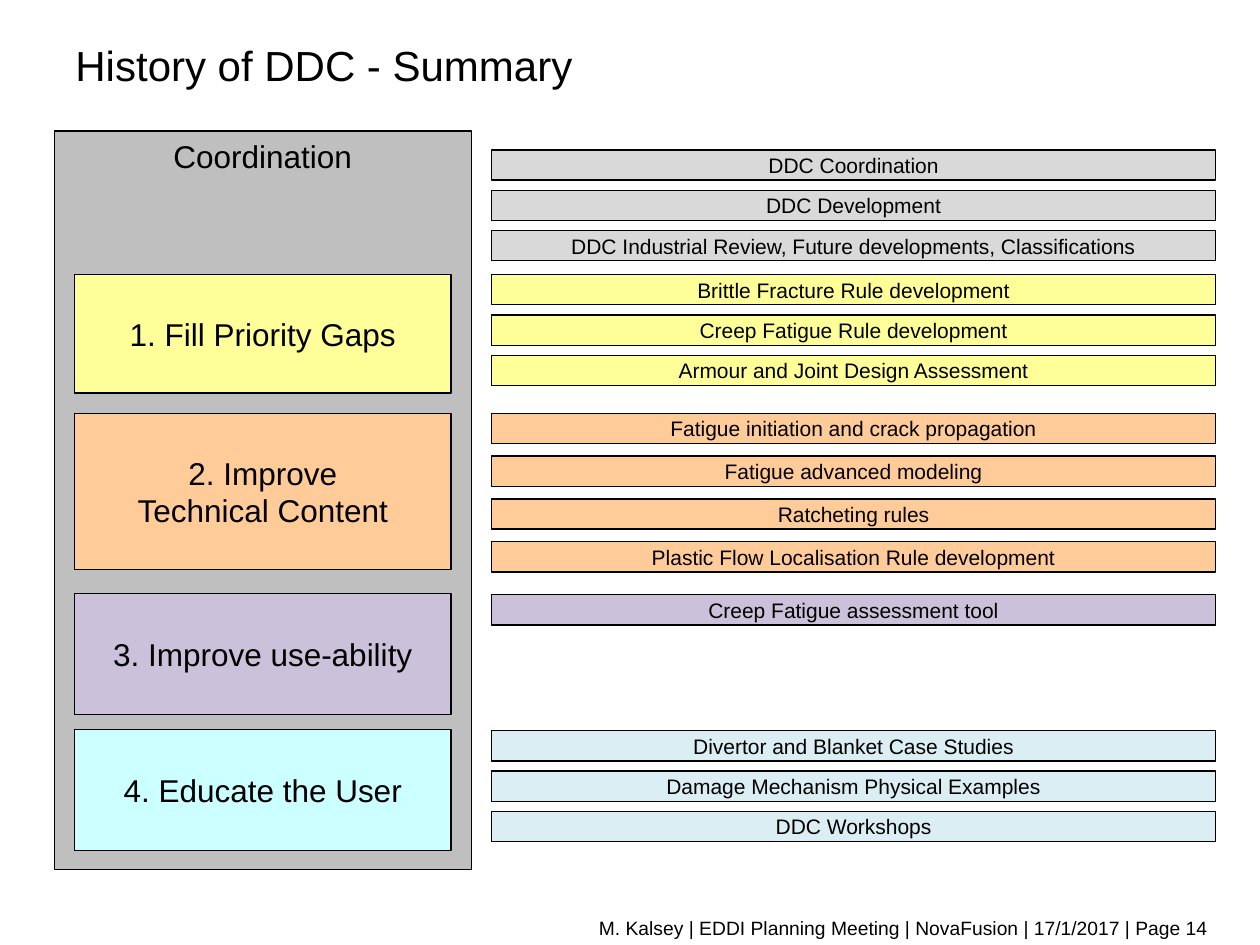
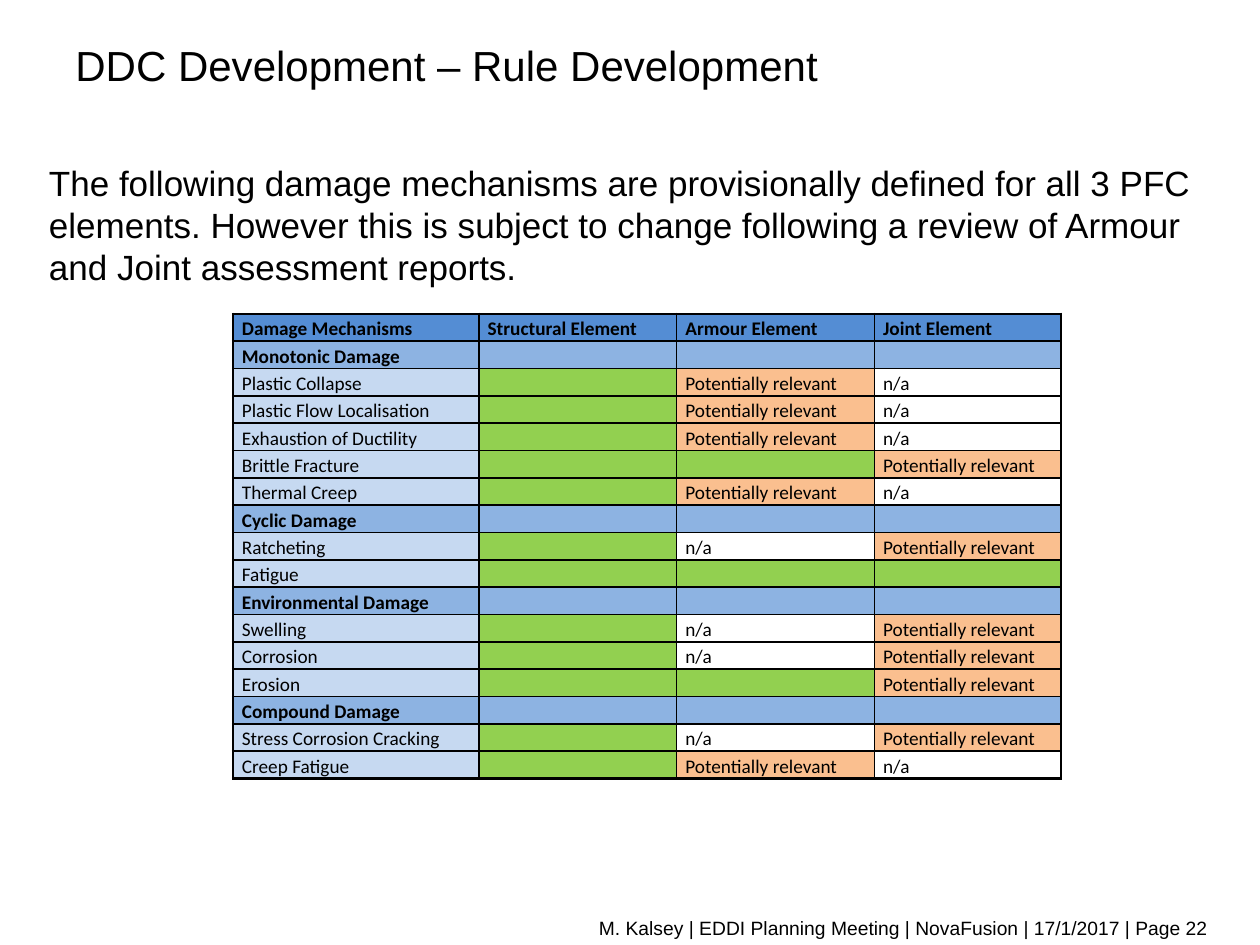
"""Build two slides on the history and rule development of the DDC."""
from lxml.etree import SubElement
from pptx import Presentation
from pptx.dml.color import RGBColor
from pptx.enum.shapes import MSO_SHAPE as Shape
from pptx.enum.text import MSO_ANCHOR as Anchor, PP_ALIGN as Align
from pptx.oxml.ns import qn
from pptx.util import Inches, Pt

COLS, ROWS = 100, 75
INK = "000000"
GRAY, YELLOW, ORANGE, PURPLE = "BFBFBF", "FFFF99", "FFCC99", "CCC1DA"
LABEL, GROUP, HEAD = "C6D9F1", "8DB3E2", "548DD4"
MARKS = {
    "H": ("", HEAD),
    "S": ("", GROUP),
    "G": ("", "92D050"),
    "P": ("Potentially relevant", "FABF8F"),
    "N": ("n/a", "FFFFFF"),
}

GOALS = [
    ("1. Fill Priority Gaps", YELLOW, 21.8, 9.4),
    ("2. Improve\nTechnical Content", ORANGE, 32.8, 12.4),
    ("3. Improve use-ability", PURPLE, 47.1, 9.6),
    ("4. Educate the User", "CCFFFF", 57.9, 9.6),
]
TASKS = [
    ("D9D9D9", 11.9, 3.2, [
        "DDC Coordination", "DDC Development",
        "DDC Industrial Review, Future developments, Classifications"]),
    (YELLOW, 21.8, 3.2, [
        "Brittle Fracture Rule development", "Creep Fatigue Rule development",
        "Armour and Joint Design Assessment"]),
    (ORANGE, 32.8, 3.4, [
        "Fatigue initiation and crack propagation", "Fatigue advanced modeling",
        "Ratcheting rules", "Plastic Flow Localisation Rule development"]),
    (PURPLE, 47.2, 3.2, ["Creep Fatigue assessment tool"]),
    ("DBEEF4", 58, 3.2, [
        "Divertor and Blanket Case Studies",
        "Damage Mechanism Physical Examples", "DDC Workshops"]),
]
HEADS = ["Damage Mechanisms", "Structural Element", "Armour Element", "Joint Element"]
DAMAGE = [
    ("Monotonic Damage", "SSS"),
    ("Plastic Collapse", "GPN"),
    ("Plastic Flow Localisation", "GPN"),
    ("Exhaustion of Ductility", "GPN"),
    ("Brittle Fracture", "GGP"),
    ("Thermal Creep", "GPN"),
    ("Cyclic Damage", "SSS"),
    ("Ratcheting", "GNP"),
    ("Fatigue", "GGG"),
    ("Environmental Damage", "SSS"),
    ("Swelling", "GNP"),
    ("Corrosion", "GNP"),
    ("Erosion", "GGP"),
    ("Compound Damage", "SSS"),
    ("Stress Corrosion Cracking", "GNP"),
    ("Creep Fatigue", "GPN"),
]
BODY = ("The following damage mechanisms are provisionally defined for all 3 PFC "
        "elements. However this is subject to change following a review of Armour "
        "and Joint assessment reports.")


def tint(code):
    return RGBColor.from_string(code)


def write(frame, text, size=12, face="Arial", bold=False, align=Align.LEFT, space=None):
    for num, line in enumerate(text.split("\n")):
        para = frame.add_paragraph() if num else frame.paragraphs[0]
        para.alignment = align
        para.line_spacing = space
        if not line:
            SubElement(para._p, qn("a:endParaRPr"), sz=str(size * 100))
            continue
        run = para.add_run()
        run.text = line
        font = run.font
        font.size, font.name, font.bold = Pt(size), face, bold
        font.color.rgb = tint(INK)


def edge(cell, side, width):
    line = SubElement(cell._tc.get_or_add_tcPr(), qn(f"a:ln{side}"), w=str(Pt(width)))
    SubElement(SubElement(line, qn("a:solidFill")), qn("a:srgbClr"), val=INK)


class Deck:
    """Hold the shared style and the current slide."""

    def __init__(self):
        self.prs = Presentation()
        self.prs.slide_width, self.prs.slide_height = Inches(10), Inches(7.5)
        self.slide = None

    def wide(self, cols):
        return round(self.prs.slide_width * cols / COLS)

    def high(self, rows):
        return round(self.prs.slide_height * rows / ROWS)

    def place(self, x, y, w, h):
        return self.wide(x), self.high(y), self.wide(w), self.high(h)

    def page(self, title, num):
        self.slide = self.prs.slides.add_slide(self.prs.slide_layouts[6])
        self.text(title, 5, 0.3, 81.2, 9.7, size=24)
        note = f"M. Kalsey | EDDI Planning Meeting | NovaFusion | 17/1/2017 | Page {num}"
        self.text(note, 6.8, 72.2, 90.1, 2.9, size=11, align=Align.RIGHT)

    def text(self, text, x, y, w, h, anchor=Anchor.MIDDLE, **style):
        frame = self.slide.shapes.add_textbox(*self.place(x, y, w, h)).text_frame
        frame.word_wrap = True
        frame.vertical_anchor = anchor
        write(frame, text, **style)

    def box(self, text, fill, x, y, w, h, anchor=Anchor.MIDDLE, size=18):
        box = self.slide.shapes.add_shape(Shape.RECTANGLE, *self.place(x, y, w, h))
        box.shadow.inherit = False
        box.fill.solid()
        box.fill.fore_color.rgb = tint(fill)
        box.line.color.rgb = tint(INK)
        box.line.width = Pt(0.75)
        box.text_frame.word_wrap = False
        box.text_frame.vertical_anchor = anchor
        write(box.text_frame, text, size=size, align=Align.CENTER)

    def table(self, rows, x, y, widths, tall):
        spot = self.place(x, y, sum(widths), tall * len(rows))
        grid = self.slide.shapes.add_table(len(rows), len(widths), *spot).table
        grid.first_row = grid.horz_banding = False
        for col, width in zip(grid.columns, widths):
            col.width = self.wide(width)
        for r, row in enumerate(rows):
            grid.rows[r].height = self.high(tall)
            for c, (text, fill) in enumerate(row):
                cell = grid.cell(r, c)
                cell.margin_left = cell.margin_right = self.wide(0.7)
                cell.margin_top = cell.margin_bottom = 0
                thick = {
                    "L": c < 2,
                    "R": c in (0, len(widths) - 1),
                    "T": r == 0 or r == 1 and c > 0,
                    "B": r == len(rows) - 1 or r == 0 and c > 0,
                }
                for side, bold in thick.items():
                    edge(cell, side, 1.5 if bold else 1)
                cell.fill.solid()
                cell.fill.fore_color.rgb = tint(fill)
                write(cell.text_frame, text, size=11, face="Calibri",
                      bold=fill in (HEAD, GROUP), align=Align.JUSTIFY, space=1.15)


def main():
    deck = Deck()

    deck.page("History of DDC - Summary", 14)
    deck.box("Coordination", GRAY, 4.3, 10.4, 33.1, 58.6, anchor=Anchor.TOP)
    for name, fill, top, tall in GOALS:
        deck.box(name, fill, 5.9, top, 29.9, tall)
    for fill, top, step, names in TASKS:
        for num, name in enumerate(names):
            deck.box(name, fill, 39, top + num * step, 57.5, 2.4, size=12)

    deck.page("DDC Development – Rule Development", 22)
    rows = [[(head, HEAD) for head in HEADS]]
    for name, marks in DAMAGE:
        fill = GROUP if marks == "SSS" else LABEL
        rows.append([(name, fill)] + [MARKS[mark] for mark in marks])
    deck.table(rows, 18.5, 24.9, [19.5, 15.7, 15.7, 14.8], 2.17)
    deck.text(BODY, 2.9, 12.3, 96.2, 11, anchor=Anchor.TOP, size=20)

    deck.prs.save("out.pptx")


if __name__ == "__main__":
    main()
